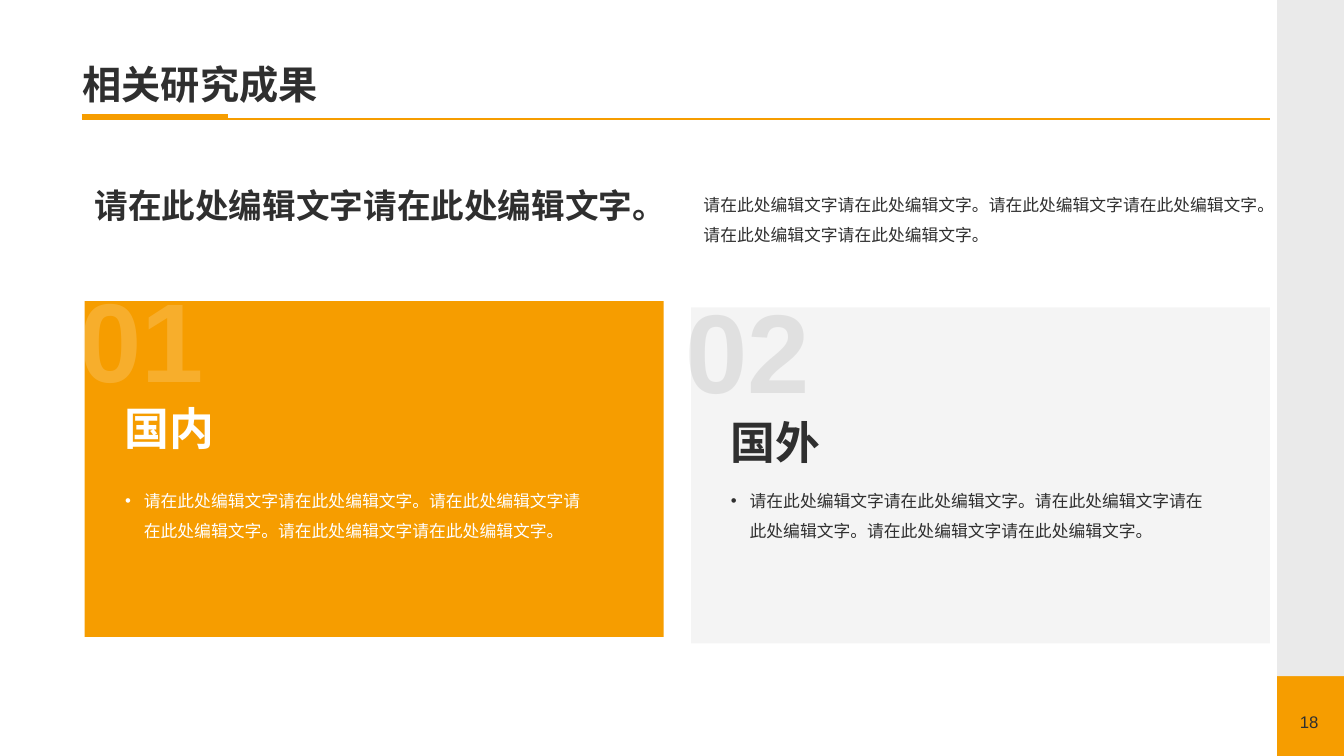
from lxml.etree import SubElement
from pptx import Presentation
from pptx.dml.color import RGBColor
from pptx.enum.shapes import MSO_CONNECTOR, MSO_SHAPE
from pptx.enum.text import MSO_ANCHOR as ANCHOR, MSO_AUTO_SIZE as FIT, PP_ALIGN as ALIGN
from pptx.oxml.ns import qn
from pptx.util import Pt

ORANGE, DARK, WHITE = "F69D00", "2F2F2F", "FFFFFF"
PHRASE = "请在此处编辑文字请在此处编辑文字。"


def paint(fill, color, opacity=100):
    """Fill with a hex colour, opacity in percent."""
    fill.solid()
    fill.fore_color.rgb = RGBColor.from_string(color)
    if opacity < 100:
        srgb = fill._xPr.find(".//" + qn("a:srgbClr"))
        SubElement(srgb, qn("a:alpha"), val=str(opacity * 1000))


def write(box, place, text, size, color, bold=False, opacity=100,
          anchor=ANCHOR.TOP, wrap=True, **para_format):
    """Move a text shape to place, fill it with one paragraph and format it."""
    for name, value in zip(("left", "top", "width", "height"), place):
        setattr(box, name, Pt(value))
    frame = box.text_frame
    frame.text = text
    frame.auto_size = FIT.NONE
    frame.word_wrap = wrap
    frame.vertical_anchor = anchor
    para = frame.paragraphs[0]
    formats = {"alignment": ALIGN.LEFT, "space_before": Pt(0), **para_format}
    for name, value in formats.items():
        setattr(para, name, value)
    font = para.runs[0].font
    for name, value in {"name": "Arial", "size": Pt(size), "bold": bold}.items():
        setattr(font, name, value)
    paint(font.fill, color, opacity)
    return para


deck = Presentation()
deck.slide_width, deck.slide_height = Pt(960), Pt(540)
page = deck.slides.add_slide(deck.slide_layouts[3])
shapes = page.shapes
title, *lists = page.placeholders

# Side rail and the two cards
blocks = [
    (912.3, 0, 47.7, 540, ORANGE, 100),
    (912.3, 0, 47.7, 483, "EAEAEA", 100),
    (60.5, 215, 413.5, 240, ORANGE, 100),
    (493.6, 219.5, 413.5, 240, "393939", 5),
]
for left, top, width, height, color, opacity in blocks:
    block = shapes.add_shape(MSO_SHAPE.RECTANGLE, Pt(left), Pt(top), Pt(width), Pt(height))
    block.shadow.inherit = False
    block.line.fill.background()
    paint(block.fill, color, opacity)

# Title rules
for right, y, weight in [(907.2, 85, 1), (162.7, 83, 3)]:
    rule = shapes.add_connector(MSO_CONNECTOR.STRAIGHT, Pt(58.3), Pt(y), Pt(right), Pt(y))
    rule.line.width = Pt(weight)
    paint(rule.line.fill, ORANGE)
    SubElement(rule._element.spPr, qn("a:effectLst"))

write(title, (51.8, 0, 855.4, 80.6), "相关研究成果", 28, DARK, bold=True,
      anchor=ANCHOR.BOTTOM, line_spacing=0.9)

# Free text: place, wording, size and formats
notes = [
    ((739.4, 506.9, 209.5, 17.3), "18", 12,
     {"anchor": ANCHOR.MIDDLE, "alignment": ALIGN.RIGHT}),
    ((60.5, 128.2, 411.8, 36), PHRASE, 24, {"anchor": ANCHOR.MIDDLE, "bold": True}),
    ((495.4, 128.2, 411.8, 48.2), PHRASE * 3, 12, {"line_spacing": 1.5}),
]
for place, text, size, formats in notes:
    write(shapes.add_textbox(0, 0, 0, 0), place, text, size, DARK, **formats)

# Card contents: number, its colour and opacity, heading, text colour, left, width, tops
cards = [
    ("01", "FFECCA", 21, "国内", WHITE, 82.1, 350, 189.4, 282.2),
    ("02", "393939", 9, "国外", DARK, 514.8, 363, 197.3, 292.3),
]
for body, card in zip(lists, cards):
    number, tint, opacity, heading, color, left, width, number_top, heading_top = card
    write(shapes.add_textbox(0, 0, 0, 0), (left - 32.4, number_top, 104.4, 104.4),
          number, 80, tint, bold=True, opacity=opacity, wrap=False)
    write(shapes.add_textbox(0, 0, 0, 0), (left, heading_top, width, 46),
          heading, 32, color, bold=True, anchor=ANCHOR.BOTTOM)
    para = write(body, (left, 339.8, width, 48.2), PHRASE * 3, 12, color, line_spacing=1.5)
    props = para._p.get_or_add_pPr()
    props.set("marL", str(Pt(13.5)))
    props.set("indent", str(-Pt(13.5)))
    SubElement(props, qn("a:buFont"), typeface="Arial")
    SubElement(props, qn("a:buChar"), char="•")
    shapes._spTree.append(body._element)  # bring the list in front of its card

deck.save("out.pptx")
